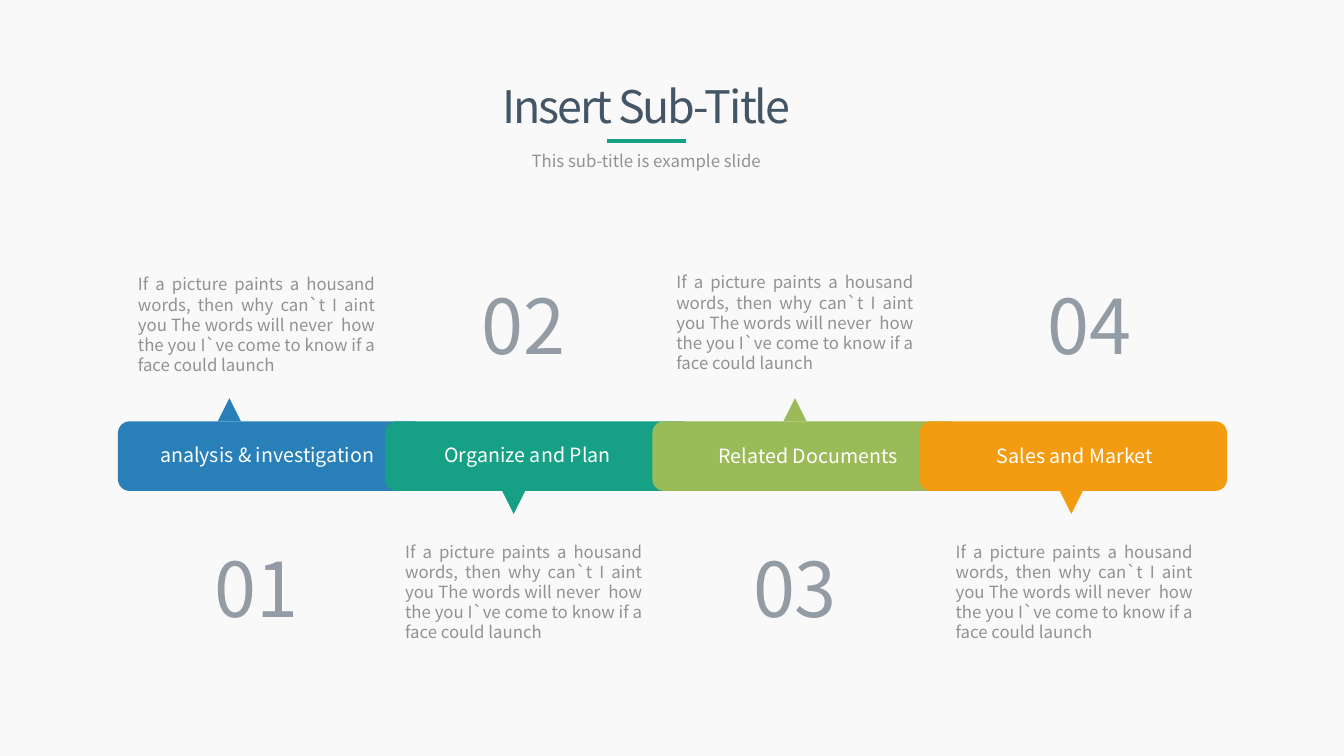
from pptx import Presentation
from pptx import util as u
from pptx.dml.color import RGBColor
from pptx.enum import shapes, text
from pptx.oxml import xmlchemy

FONT = "Noto Sans CJK KR"
PAPER = RGBColor(0xF9, 0xF9, 0xF9)
NAVY = RGBColor(0x44, 0x55, 0x66)
GREY = RGBColor(0x92, 0x92, 0x92)
SLATE = RGBColor(0x93, 0x9B, 0xA5)
WHITE = RGBColor(0xFF, 0xFF, 0xFF)
BLUE = RGBColor(0x29, 0x80, 0xB9)
TEAL = RGBColor(0x16, 0xA0, 0x85)
GREEN = RGBColor(0x9B, 0xBB, 0x59)
ORANGE = RGBColor(0xF3, 0x9C, 0x12)

BODY = ("If a picture paints a housand words, then why can`t I aint you "
        "The words will never  how the you I`ve come to know if a face could launch")
BAR_LEFT, BAR_TOP, BAR_WIDTH, BAR_HEIGHT = 1.17, 4.18, 3.05, 0.69
BAR_STEP = 2.65
POINTER = 0.23

STEPS = [
    ("analysis & investigation", BLUE, 1.49, 4.34, 2.16, 1.27, 2.67, 1.27),
    ("Organize and Plan", TEAL, 4.31, 4.34, 4.98, 3.92, 5.32, 3.92),
    ("Related Documents", GREEN, 7.03, 4.35, 7.77, 6.61, 2.65, 6.61),
    ("Sales and Market", ORANGE, 9.79, 4.35, 10.51, 9.38, 5.32, 9.53),
]


class Painter:
    """Draws text, shapes and rules on one page in a shared style."""

    def __init__(self, page, font):
        self.page = page
        self.font = font

    def add_text(self, words, left, top, width, height, size, color,
                 align=text.PP_ALIGN.CENTER, spacing=None):
        box = self.page.shapes.add_textbox(*map(u.Inches, (left, top, width, height)))
        frame = box.text_frame
        frame.word_wrap = True
        frame.auto_size = text.MSO_AUTO_SIZE.SHAPE_TO_FIT_TEXT
        frame.text = words
        para = frame.paragraphs[0]
        para.alignment = align
        span = para.runs[0]
        span.font.name = self.font
        span.font.size = u.Pt(size)
        span.font.color.rgb = color
        if spacing is not None:
            span._r.get_or_add_rPr().set("spc", str(spacing))

    def add_shape(self, kind, left, top, width, height, color, rotation=0):
        item = self.page.shapes.add_shape(kind, *map(u.Inches, (left, top, width, height)))
        item.shadow.inherit = False
        item.fill.solid()
        item.fill.fore_color.rgb = color
        item.line.fill.background()
        item.rotation = rotation

    def add_rule(self, left, right, top, color, weight):
        rule = self.page.shapes.add_connector(
            shapes.MSO_CONNECTOR.STRAIGHT, *map(u.Inches, (left, top, right, top)))
        rule.line.color.rgb = color
        rule.line.width = u.Pt(weight)
        rule._element.spPr.append(xmlchemy.OxmlElement("a:effectLst"))


def main():
    deck = Presentation()
    deck.slide_width, deck.slide_height = u.Inches(13.33), u.Inches(7.5)
    page = deck.slides.add_slide(deck.slide_layouts[6])
    page.background.fill.solid()
    page.background.fill.fore_color.rgb = PAPER
    painter = Painter(page, FONT)

    painter.add_text("Insert Sub-Title", 4.13, 0.73, 4.56, 0.64, 32, NAVY, spacing=-150)
    painter.add_text("This sub-title is example slide", 4.67, 1.45, 3.48, 0.3, 12, GREY)
    painter.add_rule(6.02, 6.8, 1.4, TEAL, 3)

    for index, (label, color, label_left, label_top, pointer_left,
                body_left, body_top, number_left) in enumerate(STEPS):
        points_up = index % 2 == 0
        painter.add_shape(shapes.MSO_SHAPE.ROUNDED_RECTANGLE, BAR_LEFT + index * BAR_STEP,
                          BAR_TOP, BAR_WIDTH, BAR_HEIGHT, color)
        pointer_top = BAR_TOP - POINTER if points_up else BAR_TOP + BAR_HEIGHT
        painter.add_shape(shapes.MSO_SHAPE.ISOSCELES_TRIANGLE, pointer_left, pointer_top,
                          POINTER, POINTER, color, 0 if points_up else 180)
        painter.add_text(BODY, body_left, body_top, 2.55, 1.11, 12, GREY,
                         text.PP_ALIGN.JUSTIFY)
        painter.add_text(f"{index + 1:02}", number_left, 5.33 if points_up else 2.72,
                         2.55, 1.01, 54, SLATE)
        painter.add_text(label, label_left, label_top, 2.36, 0.34, 14, WHITE,
                         text.PP_ALIGN.LEFT)

    deck.save("out.pptx")


if __name__ == "__main__":
    main()
